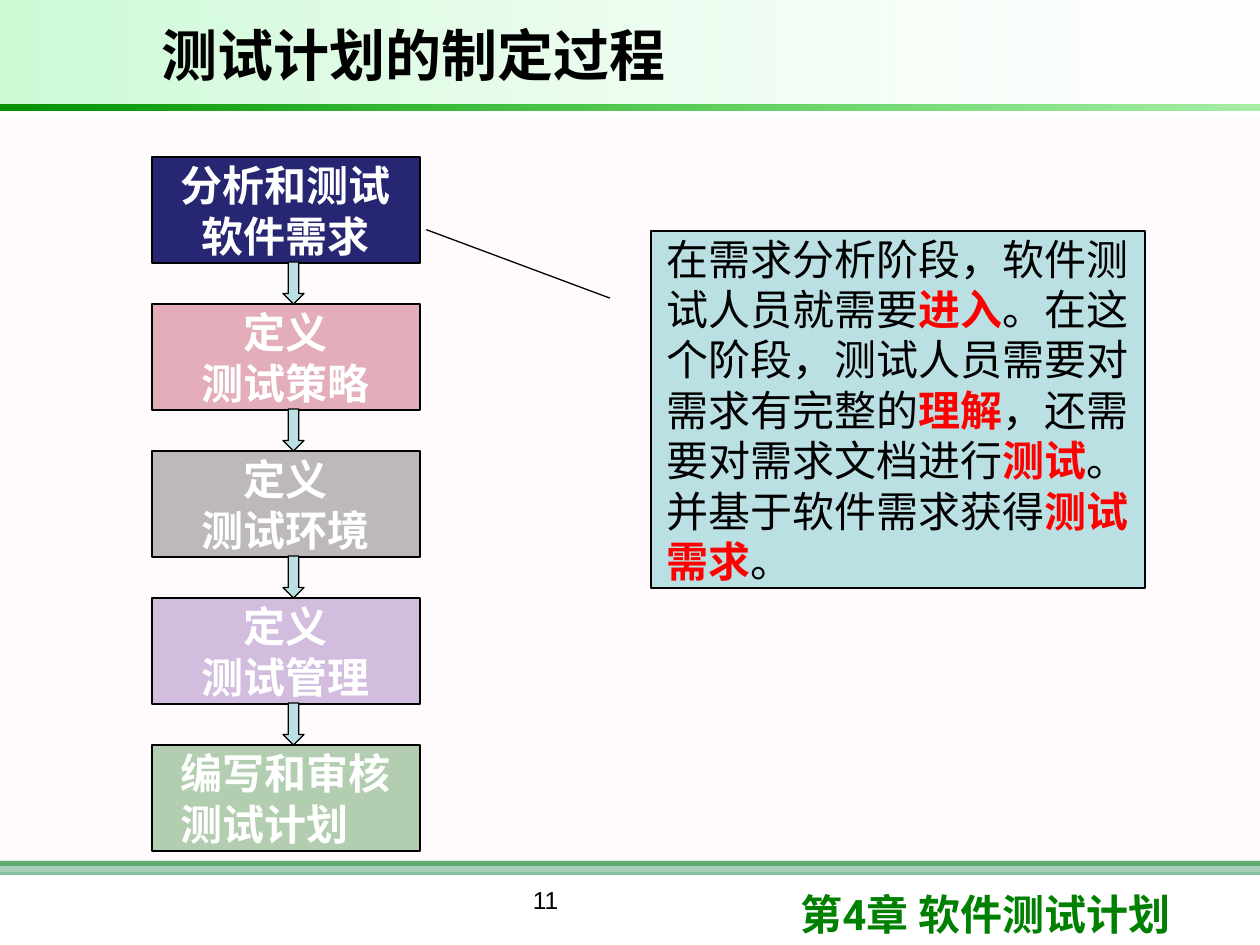
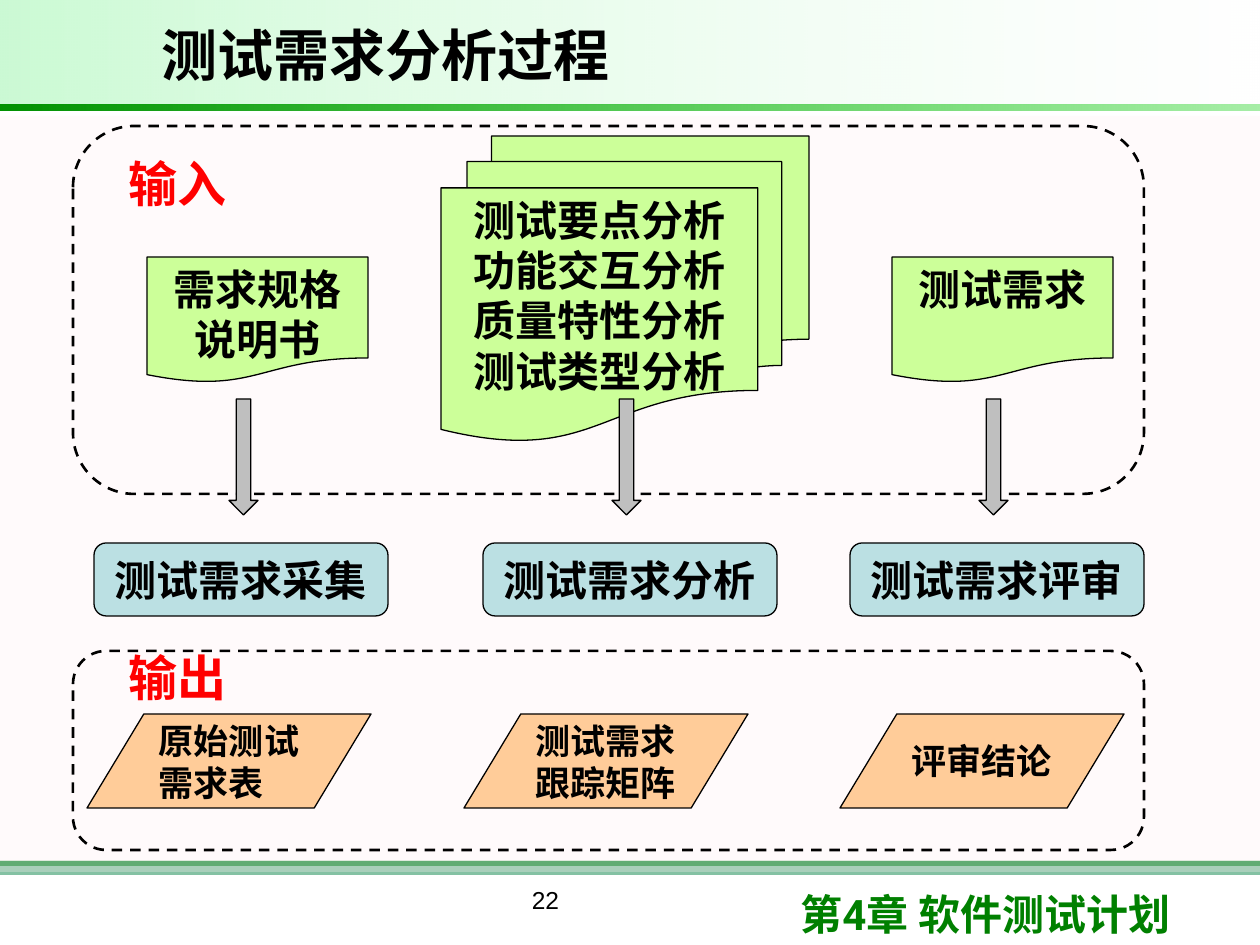
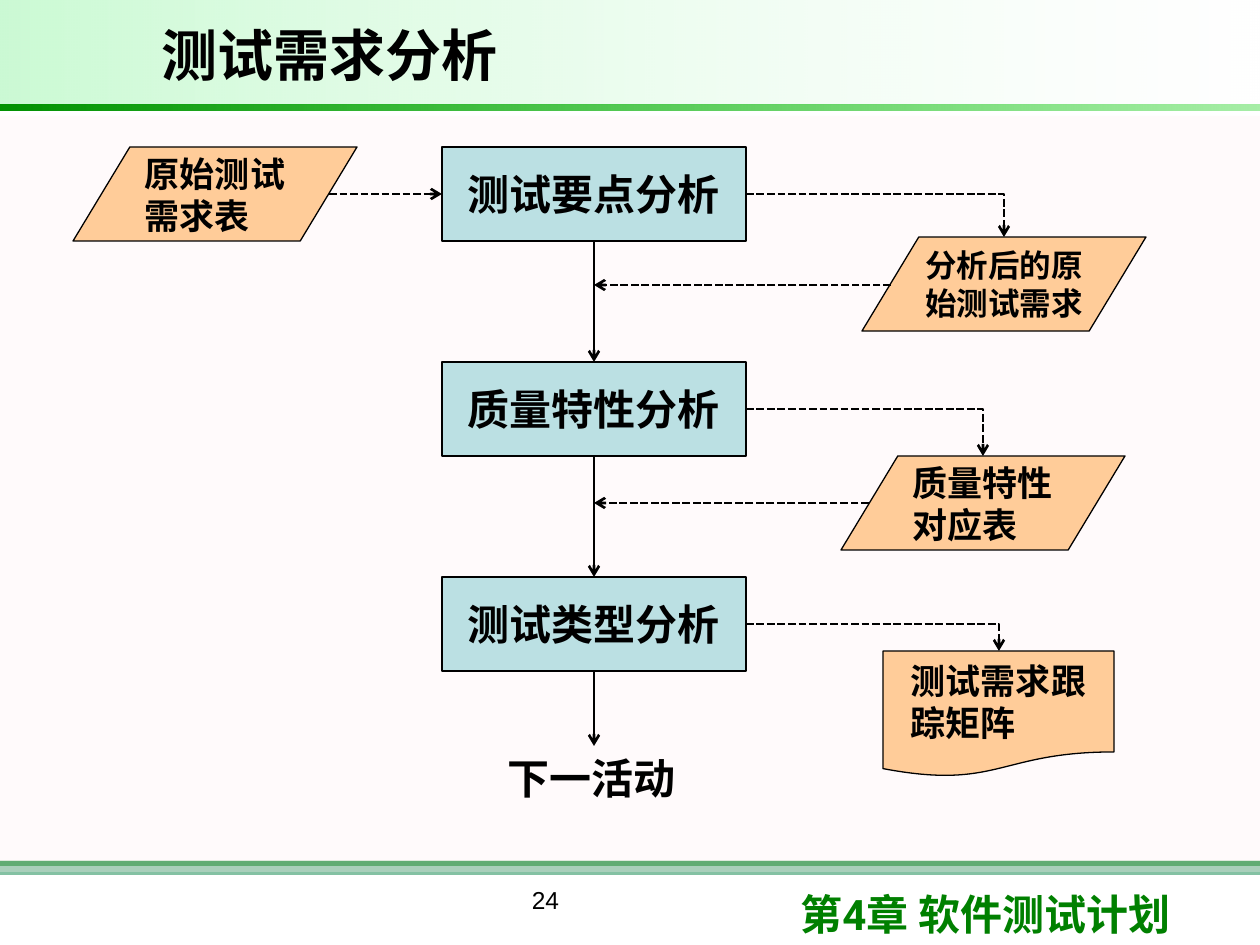
"""Build three slides on test planning and test requirement analysis."""
from lxml.etree import SubElement
from pptx import Presentation
from pptx.dml.color import RGBColor
from pptx.enum.dml import MSO_LINE
from pptx.enum.shapes import MSO_CONNECTOR, MSO_SHAPE
from pptx.enum.text import MSO_ANCHOR, PP_ALIGN
from pptx.oxml.ns import qn
from pptx.util import Pt

PX = 914400 // 126
WIDE, HIGH = 1260, 945
CJK, LATIN, FOOT = "Noto Sans CJK SC", "Arial", "Roboto"
LEFT, MID = PP_ALIGN.LEFT, PP_ALIGN.CENTER
HUES = {
    "black": "000000", "white": "FFFFFF", "red": "FF0000",
    "green": "008000", "sea": "339966", "blush": "FFF0F5",
    "mint": "09E733", "leaf": "00CC00", "dark": "009200",
    "navy": "262673", "wine": "A50021", "coal": "262626",
    "plum": "7030A0", "pine": "006600", "sky": "BBE0E3",
    "lime": "CCFF99", "peach": "FFCC99", "gray": "BFBFBF",
}

CHAPTER = "第4章 软件测试计划"
STAGES = [
    (["分析和测试软件需求"], "navy", 100, MID),
    (["定义", "测试策略"], "wine", 30, MID),
    (["定义", "测试环境"], "coal", 30, MID),
    (["定义", "测试管理"], "plum", 30, MID),
    (["编写和审核", "测试计划"], "pine", 30, LEFT),
]
NOTE = [
    "在需求分析阶段，软件测试人员就需要", "进入",
    "。在这个阶段，测试人员需要对需求有完整的", "理解",
    "，还需要对需求文档进行", "测试",
    "。并基于软件需求获得", "测试需求", "。",
]
BENDS = [0.188, -0.083, -0.004, -0.455]

DOCS = [(147, "需求规格说明书"), (892, "测试需求")]
STACK = ["测试要点分析", "功能交互分析", "质量特性分析", "测试类型分析"]
TASKS = [(94, "测试需求采集"), (483, "测试需求分析"), (850, "测试需求评审")]
RESULTS = [(87, "原始测试需求表"), (464, "测试需求跟踪矩阵"), (840, "评审结论")]
DROPS = [229, 612, 979]
FRAMES = [(126, 368), (651, 199)]
LABELS = [(147, "输入"), (641, "输出")]

STEPS = ["测试要点分析", "质量特性分析", "测试类型分析"]
DATA = [
    ((73, 147, 284, 94), "原始测试需求表", 20),
    ((862, 237, 284, 94), "分析后的原始测试需求", 18),
    ((841, 456, 284, 94), "质量特性对应表", 20),
]
MATRIX = (883, 651, 231, 126)
TURNS = [(1004, 237), (983, 456), (999, 651)]
BACKS = [(891, 285), (869, 503)]


def rgb(name):
    return RGBColor.from_string(HUES[name])


def fade(shape, *alphas):
    tints = shape.element.spPr.iter(qn("a:srgbClr"))
    for tint, alpha in zip(tints, alphas):
        if alpha < 100:
            SubElement(tint, qn("a:alpha")).set("val", str(alpha * 1000))


def write(shape, paras, size=24, hue="black", bold=True, align=MID,
          anchor=MSO_ANCHOR.MIDDLE, font=CJK):
    """Fill a shape with paragraphs; every second run of a list is red and bold."""
    frame = shape.text_frame
    frame.word_wrap = True
    frame.vertical_anchor = anchor
    for i, text in enumerate(paras):
        para = frame.paragraphs[0] if i == 0 else frame.add_paragraph()
        para.alignment = align
        para.font.size, para.font.name, para.font.bold = Pt(size), font, bold
        para.font.color.rgb = rgb(hue)
        base = para._p.pPr.find(qn("a:defRPr"))
        SubElement(base, qn("a:ea")).set("typeface", CJK)
        for j, part in enumerate([text] if isinstance(text, str) else text):
            run = para.add_run()
            run.text = part
            if j % 2:
                run.font.bold = True
                run.font.color.rgb = rgb("red")
    return frame


def center(frame):
    frame._txBody.bodyPr.set("anchorCtr", "1")


def draw(slide, kind, box, fill=None, alpha=100, line=0.75):
    shape = slide.shapes.add_shape(kind, *(n * PX for n in box))
    shape.shadow.inherit = False
    if fill:
        shape.fill.solid()
        shape.fill.fore_color.rgb = rgb(fill)
        fade(shape, alpha)
    else:
        shape.fill.background()
    if line:
        shape.line.color.rgb = rgb("black")
        shape.line.width = Pt(line)
    else:
        shape.line.fill.background()
    return shape


def label(slide, box, text, **style):
    area = slide.shapes.add_textbox(*(n * PX for n in box))
    write(area, [text], **{"align": LEFT, "anchor": MSO_ANCHOR.TOP, **style})


def blend(slide, box, hues, alphas):
    band = draw(slide, MSO_SHAPE.RECTANGLE, box, line=0)
    band.fill.gradient()
    band.fill.gradient_angle = 0
    for stop, hue in zip(band.fill.gradient_stops, hues):
        stop.color.rgb = rgb(hue)
    fade(band, *alphas)


def data(slide, box, text, size=20, kind=MSO_SHAPE.FLOWCHART_DATA):
    frame = write(draw(slide, kind, box, "peach"), [text], size, align=LEFT)
    center(frame)
    return frame


def link(slide, start, end, dash=True, bent=False):
    kind = MSO_CONNECTOR.ELBOW if bent else MSO_CONNECTOR.STRAIGHT
    wire = slide.shapes.add_connector(kind, *(n * PX for n in start + end))
    wire.line.color.rgb = rgb("black")
    wire.line.width = Pt(1.5)
    if dash:
        wire.line.dash_style = MSO_LINE.SQUARE_DOT
    props = wire.element.spPr
    if bent:
        props.find(qn("a:prstGeom")).set("prst", "bentConnector2")
    SubElement(props.find(qn("a:ln")), qn("a:tailEnd")).set("type", "arrow")
    SubElement(props, qn("a:effectLst"))
    return wire


def start(deck, title, number):
    slide = deck.slides.add_slide(deck.slide_layouts[6])
    for top, tall, hue, alpha in [(861, 5, "green", 100), (861, 14, "sea", 60),
                                  (116, 756, "blush", 30)]:
        draw(slide, MSO_SHAPE.RECTANGLE, (0, top, WIDE, tall), hue, alpha, 0)
    blend(slide, (0, 0, WIDE, 105), ("mint", "white"), (21, 10))
    blend(slide, (0, 105, WIDE, 6), ("dark", "leaf"), (100, 35))
    label(slide, (788, 882, 425, 63), CHAPTER, hue="green", font=FOOT)
    label(slide, (149, 10, 878, 89), title, size=32, font=LATIN,
          anchor=MSO_ANCHOR.MIDDLE)
    label(slide, (346, 879, 399, 66), number, size=14, font=LATIN,
          bold=False, align=MID)
    return slide


def plan(deck):
    slide = start(deck, "测试计划的制定过程", "11")
    for i, (lines, hue, alpha, align) in enumerate(STAGES):
        box = (152, 157 + 147 * i, 268, 106)
        stage = draw(slide, MSO_SHAPE.RECTANGLE, box, hue, alpha, 1)
        frame = write(stage, lines, hue="white", align=align)
        if align == LEFT:
            center(frame)
    for i in range(len(STAGES) - 1):
        draw(slide, MSO_SHAPE.DOWN_ARROW, (283, 262 + 147 * i, 21, 42), "sky")
    note = draw(slide, MSO_SHAPE.LINE_CALLOUT_1, (651, 231, 494, 357), "sky")
    for i, bend in enumerate(BENDS):
        note.adjustments[i] = bend
    center(write(note, [NOTE], bold=False, align=LEFT))


def process(deck):
    slide = start(deck, "测试需求分析过程", "22")
    sheets = [(MSO_SHAPE.FLOWCHART_DOCUMENT, (x, 257, 221, 126), [text])
              for x, text in DOCS]
    sheets.insert(1, (MSO_SHAPE.FLOWCHART_MULTIDOCUMENT,
                      (441, 136, 368, 305), STACK))
    for kind, box, lines in sheets:
        write(draw(slide, kind, box, "lime"), lines, anchor=MSO_ANCHOR.TOP)
    for x, text in TASKS:
        box = (x, 543, 294, 73)
        write(draw(slide, MSO_SHAPE.ROUNDED_RECTANGLE, box, "sky"), [text])
    for x, text in RESULTS:
        data(slide, (x, 714, 284, 94), text)
    for top, tall in FRAMES:
        frame = draw(slide, MSO_SHAPE.ROUNDED_RECTANGLE,
                     (73, top, 1071, tall), line=1.5)
        frame.line.dash_style = MSO_LINE.DASH
    for x in DROPS:
        draw(slide, MSO_SHAPE.DOWN_ARROW, (x, 399, 29, 116), "gray")
    for top, text in LABELS:
        label(slide, (116, top, 179, 72), text, size=28, hue="red", font=LATIN)


def analysis(deck):
    slide = start(deck, "测试需求分析", "24")
    left, wide, tall, top, pitch = 442, 304, 94, 147, 215
    spine = left + wide // 2
    steps = []
    for i, text in enumerate(STEPS):
        box = (left, top + pitch * i, wide, tall)
        step = draw(slide, MSO_SHAPE.RECTANGLE, box, "sky")
        center(write(step, [text], align=LEFT))
        steps.append(step)
    for box, text, size in DATA:
        frame = data(slide, box, text, size)
        if size == 18:
            frame.margin_left = frame.margin_right = 0
    data(slide, MATRIX, "测试需求跟踪矩阵", kind=MSO_SHAPE.FLOWCHART_DOCUMENT)
    half = top + tall // 2
    link(slide, (329, half), (left, half)).end_connect(steps[0], 1)
    for i, (step, turn) in enumerate(zip(steps, TURNS)):
        y = top + pitch * i
        link(slide, (left + wide, y + tall // 2), turn, bent=True)
        last = i == len(steps) - 1
        end = 746 if last else y + pitch
        wire = link(slide, (spine, y + tall), (spine, end), dash=False)
        wire.begin_connect(step, 2)
        if not last:
            wire.end_connect(steps[i + 1], 0)
    for x, y in BACKS:
        link(slide, (x, y), (spine, y))
    label(slide, (495, 746, 210, 63), "下一活动")


def main():
    deck = Presentation()
    deck.slide_width, deck.slide_height = WIDE * PX, HIGH * PX
    for build in (plan, process, analysis):
        build(deck)
    deck.save("out.pptx")


if __name__ == "__main__":
    main()
